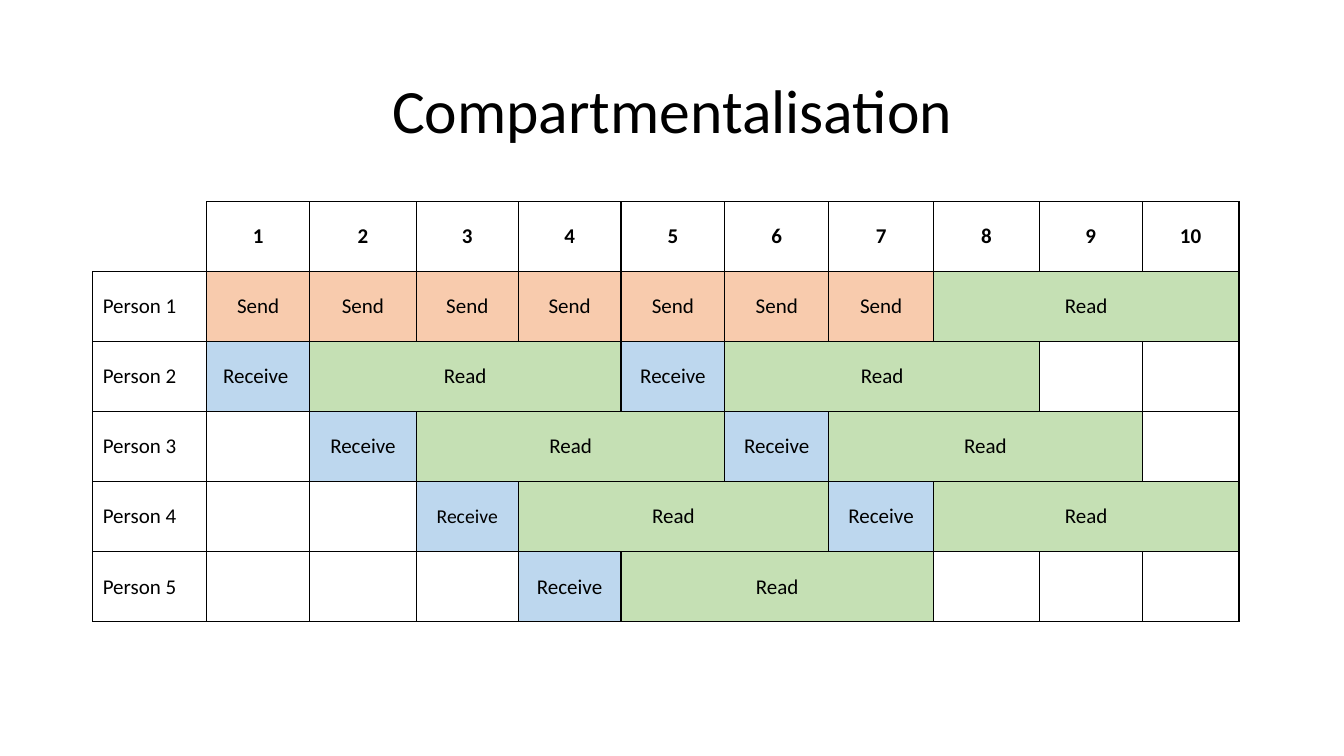
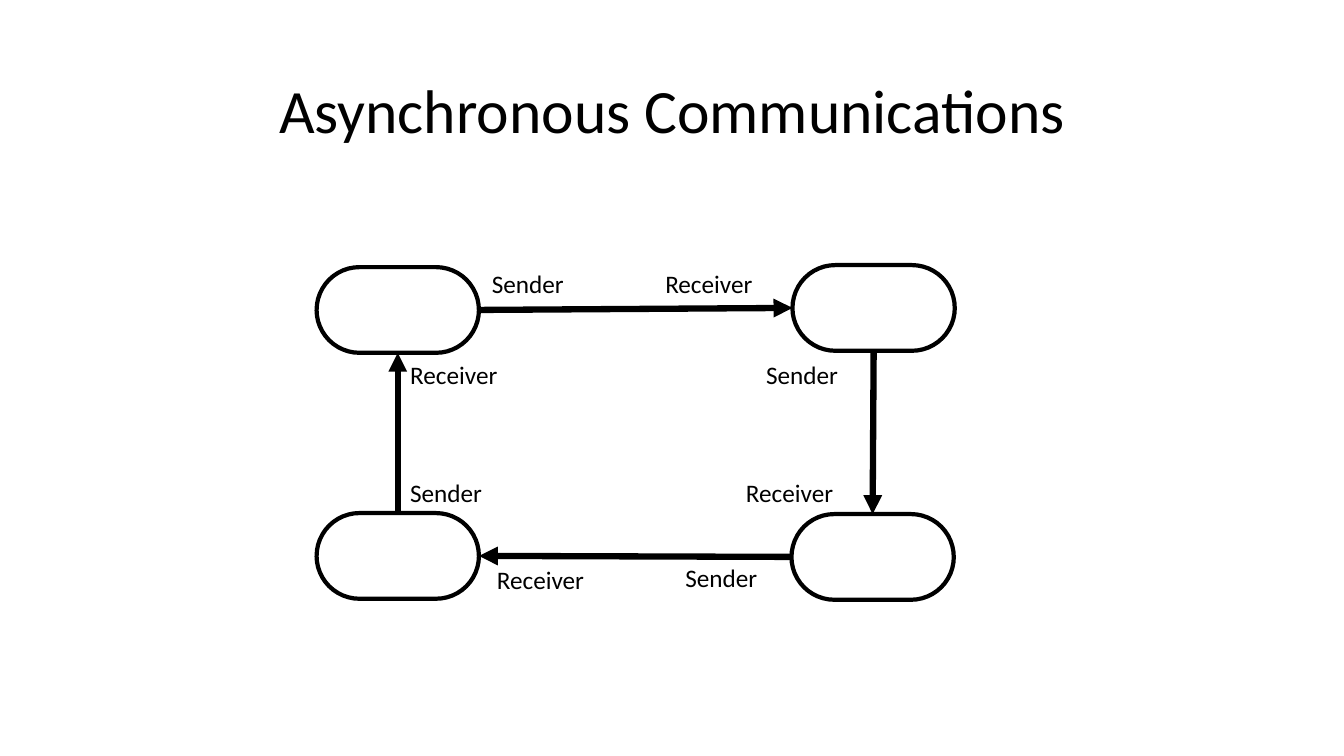
from lxml import etree
from pptx import Presentation
from pptx.dml.color import RGBColor
from pptx.enum.shapes import MSO_CONNECTOR, MSO_SHAPE
from pptx.enum.text import MSO_ANCHOR, PP_ALIGN
from pptx.oxml.ns import qn
from pptx.util import Inches, Pt

FONT = "Calibri"
COLORS = {
    "ink": "000000",
    "paper": "FFFFFF",
    "Send": "F8CBAD",
    "Receive": "BDD7EE",
    "Read": "C5E0B4",
}

# Schedule: first time slot and task for each person
COL_WIDTHS = [1.13, 1.02, 1.06, 1.01, 1.02, 1.03, 1.03, 1.04, 1.05, 1.02, 0.96]
ROW_HEIGHT = 0.695
READ_SLOTS = 3
SCHEDULE = [
    [(slot, "Send") for slot in range(1, 8)] + [(8, "Read")],
    [(1, "Receive "), (2, "Read"), (5, "Receive"), (6, "Read")],
    [(2, "Receive"), (3, "Read"), (6, "Receive"), (7, "Read")],
    [(3, "Receive"), (4, "Read"), (7, "Receive"), (8, "Read")],
    [(4, "Receive"), (5, "Read")],
]
SMALL_TASK = (4, 3)  # person, slot

# Ring: nodes clockwise from top left, offsets within the diagram
NODE_SIZE = (1.61, 0.85)
NODES = [(0, 0.02), (4.72, 0), (4.71, 2.47), (0, 2.46)]
TOP, LEFT, BOTTOM, RIGHT = range(4)  # connection sites
# Exit site, entry site, sender label, receiver label; each arrow runs to the next node
ARROWS = [
    (RIGHT, LEFT, (1.64, -0.02), (3.36, -0.02)),
    (BOTTOM, TOP, (4.36, 0.89), (4.16, 2.06)),
    (LEFT, RIGHT, (3.56, 2.9), (1.69, 2.92)),
    (TOP, BOTTOM, (0.83, 2.06), (0.83, 0.89)),
]


def rgb(name):
    return RGBColor.from_string(COLORS[name])


def style(p, size, bold=False, align=None):
    p.alignment = align
    p.font.name, p.font.size, p.font.bold = FONT, Pt(size), bold
    p.font.color.rgb = rgb("ink")


def add_titled_slide(prs, title):
    slide = prs.slides.add_slide(prs.slide_layouts[5])
    sp = slide.shapes.title
    sp.left, sp.top = Inches(0.92), Inches(0.4)
    sp.width, sp.height = Inches(11.5), Inches(1.45)
    tf = sp.text_frame
    tf.text = title
    tf.vertical_anchor = MSO_ANCHOR.MIDDLE
    p = tf.paragraphs[0]
    p.line_spacing = 0.9
    style(p, 44, align=PP_ALIGN.CENTER)
    return slide


# Schedule table
def set_borders(cell, **overrides):
    tcPr = cell._tc.get_or_add_tcPr()
    for side in ("L", "R", "T", "B"):
        ln = etree.SubElement(tcPr, qn(f"a:ln{side}"), w=str(Pt(0.96)))
        fill = etree.SubElement(ln, qn("a:solidFill"))
        color = COLORS[overrides.get(side, "ink")]
        etree.SubElement(fill, qn("a:srgbClr"), val=color)


def fill_cell(cell, color):
    cell.fill.solid()
    cell.fill.fore_color.rgb = rgb(color)


def write_cell(cell, text, size=15, bold=False, align=PP_ALIGN.CENTER):
    cell.text = text
    cell.vertical_anchor = MSO_ANCHOR.MIDDLE
    style(cell.text_frame.paragraphs[0], size, bold, align)


def draw_schedule(slide, left, top):
    rows, cols = len(SCHEDULE) + 1, len(COL_WIDTHS)
    frame = slide.shapes.add_table(rows, cols, Inches(left), Inches(top),
                                   Inches(sum(COL_WIDTHS)), Inches(rows * ROW_HEIGHT))
    table = frame.table
    table.first_row = table.horz_banding = False
    for column, width in zip(table.columns, COL_WIDTHS):
        column.width = Inches(width)

    # Plain grid, open at the top-left corner
    for row in range(rows):
        for col in range(cols):
            corner = {"L": "paper", "T": "paper"} if row == col == 0 else {}
            set_borders(table.cell(row, col), **corner)
            fill_cell(table.cell(row, col), "paper")

    # Slot numbers and people
    for slot in range(1, cols):
        write_cell(table.cell(0, slot), str(slot), bold=True)
    for person, tasks in enumerate(SCHEDULE, start=1):
        write_cell(table.cell(person, 0), f"Person {person}", align=PP_ALIGN.LEFT)
        for slot, task in tasks:
            cell = table.cell(person, slot)
            if task == "Read":
                cell.merge(table.cell(person, slot + READ_SLOTS - 1))
            fill_cell(cell, task.strip())
            write_cell(cell, task, 14 if (person, slot) == SMALL_TASK else 15)


# Communication ring
def add_node(slide, left, top):
    sp = slide.shapes.add_shape(MSO_SHAPE.ROUNDED_RECTANGLE, Inches(left), Inches(top),
                                *map(Inches, NODE_SIZE))
    sp.adjustments[0] = 0.5
    sp.shadow.inherit = False
    sp.fill.background()
    sp.line.color.rgb = rgb("ink")
    sp.line.width = Pt(3)
    return sp


def add_arrow(slide, start, exit_site, end, entry_site):
    line = slide.shapes.add_connector(MSO_CONNECTOR.STRAIGHT, 0, 0, 0, 0)
    line.begin_connect(start, exit_site)
    line.end_connect(end, entry_site)
    line.line.color.rgb = rgb("ink")
    line.line.width = Pt(4.5)
    etree.SubElement(line.line._get_or_add_ln(), qn("a:tailEnd"), type="triangle")
    etree.SubElement(line._element.spPr, qn("a:effectLst"))


def add_label(slide, left, top, text):
    sp = slide.shapes.add_textbox(Inches(left), Inches(top), Inches(1.3), Inches(0.4))
    tf = sp.text_frame
    tf.word_wrap = True
    tf.text = text
    style(tf.paragraphs[0], 18)


def draw_ring(slide, left, top):
    nodes = [add_node(slide, left + x, top + y) for x, y in NODES]
    for i, (exit_site, entry_site, sender, receiver) in enumerate(ARROWS):
        add_arrow(slide, nodes[i], exit_site, nodes[(i + 1) % len(nodes)], entry_site)
        for (x, y), text in ((sender, "Sender"), (receiver, "Receiver")):
            add_label(slide, left + x, top + y, text)


def main():
    prs = Presentation()
    prs.slide_width, prs.slide_height = Inches(13.33), Inches(7.5)
    draw_schedule(add_titled_slide(prs, "Compartmentalisation"), 0.92, 2)
    draw_ring(add_titled_slide(prs, "Asynchronous Communications"), 3.14, 2.63)
    prs.save("out.pptx")


if __name__ == "__main__":
    main()
